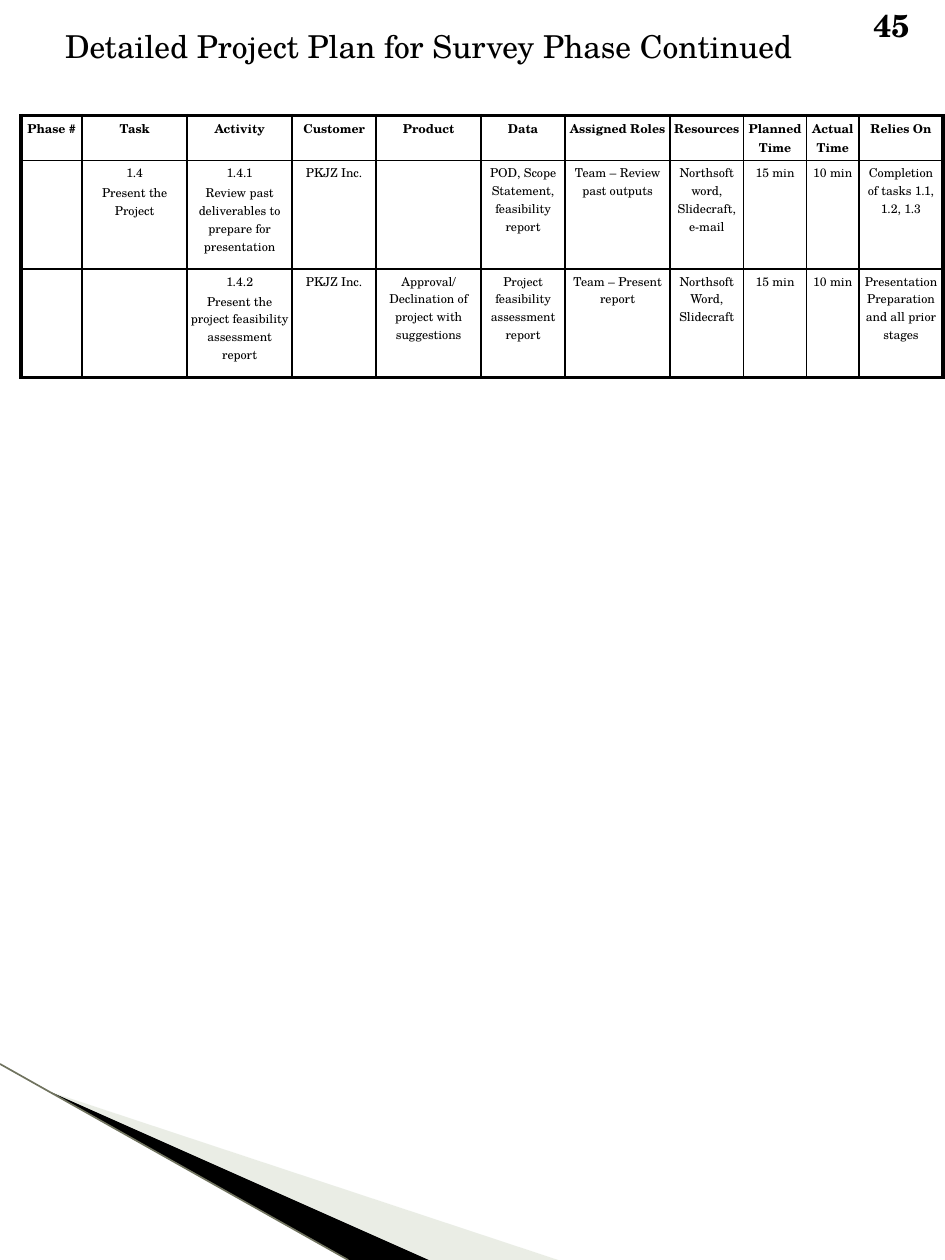
from dataclasses import dataclass
from lxml import etree
from pptx import Presentation
from pptx.dml.color import RGBColor
from pptx.enum import shapes, text
from pptx.oxml import ns
from pptx.util import Pt


@dataclass(frozen=True)
class Theme:
    face: str = "TeX Gyre Schola"
    ink: str = "000000"
    pale: str = "CBD4C0"
    edge: str = "70735F"
    head: float = 18
    body: float = 7
    thin: float = 1
    thick: float = 2.25


THEME = Theme()
COLS = [35, 60, 60, 48, 60, 48, 60, 42, 36, 30, 48]
ROWS = [24, 62, 62]
CELLS = [
    ["Phase #", "Task", "Activity", "Customer", "Product", "Data",
     "Assigned Roles", "Resources", "Planned Time", "Actual Time", "Relies On"],
    ["", "1.4\nPresent the Project",
     "1.4.1\nReview past deliverables to prepare for presentation",
     "PKJZ Inc.", "", "POD, Scope Statement, feasibility report",
     "Team – Review past outputs", "Northsoft word, Slidecraft, e-mail",
     "15 min", "10 min", "Completion of tasks 1.1, 1.2, 1.3"],
    ["", "", "1.4.2\nPresent the project feasibility assessment report",
     "PKJZ Inc.", "Approval/ Declination of project with suggestions",
     "Project feasibility assessment report", "Team – Present report",
     "Northsoft Word, Slidecraft", "15 min", "10 min",
     "Presentation Preparation and all prior stages"],
]


def apply(item, values):
    for name, value in values.items():
        setattr(item, name, value)


def place(shape, box):
    names = ("left", "top", "width", "height")
    apply(shape, {name: Pt(value) for name, value in zip(names, box)})


def write(frame, words, size, bold=False, align=text.PP_ALIGN.LEFT):
    frame.text = words
    for i, para in enumerate(frame.paragraphs):
        para.alignment = align
        para.space_before = Pt(1.2 if i else 0)
        for run in para.runs:
            apply(run.font, {"name": THEME.face, "size": Pt(size), "bold": bold})
            run.font.color.rgb = RGBColor.from_string(THEME.ink)


def label(shape, box, words, bold=False):
    place(shape, box)
    frame = shape.text_frame
    apply(frame, {"word_wrap": True, "auto_size": text.MSO_AUTO_SIZE.NONE,
                  "vertical_anchor": text.MSO_ANCHOR.TOP})
    write(frame, words, THEME.head, bold)


def border(cell, widths):
    props = cell._tc.get_or_add_tcPr()
    for side, width in widths.items():
        line = etree.SubElement(props, ns.qn("a:ln" + side), w=str(Pt(width)))
        fill = etree.SubElement(line, ns.qn("a:solidFill"))
        etree.SubElement(fill, ns.qn("a:srgbClr"), val=THEME.ink)


def plan(slide, box):
    grid = slide.shapes.add_table(len(ROWS), len(COLS), *map(Pt, box)).table
    apply(grid, {"first_row": False, "horz_banding": False})
    for col, width in zip(grid.columns, COLS):
        col.width = Pt(width)
    for row, height in zip(grid.rows, ROWS):
        row.height = Pt(height)
    inset = {"margin_" + side: Pt(2) for side in ("left", "right", "top", "bottom")}
    for r, row in enumerate(CELLS):
        for c, words in enumerate(row):
            cell = grid.cell(r, c)
            apply(cell, inset)
            outer = {"L": c == 0, "R": c == len(COLS) - 1,
                     "T": r == 0, "B": r == len(ROWS) - 1}
            border(cell, {side: THEME.thick if out else THEME.thin
                          for side, out in outer.items()})
            cell.fill.background()
            write(cell.text_frame, words, THEME.body, r == 0, text.PP_ALIGN.CENTER)


def wedge(slide, points, color, alpha=100):
    first, *rest = [(Pt(x), Pt(y)) for x, y in points]
    build = slide.shapes.build_freeform(*first)
    build.add_line_segments(rest, close=True)
    shape = build.convert_to_shape()
    shape.shadow.inherit = False
    shape.fill.solid()
    shape.fill.fore_color.rgb = RGBColor.from_string(color)
    shape.line.fill.background()
    if alpha < 100:
        tint = shape.fill._xPr.find(".//" + ns.qn("a:srgbClr"))
        etree.SubElement(tint, ns.qn("a:alpha"), val=str(alpha * 1000))


def corner(slide, box):
    x, y, w, h = box
    low = y + h
    wedge(slide, [(x + 29, y + 16), (x + w, low), (x + 245, low)], THEME.pale, 40)
    wedge(slide, [(x + 29, y + 16), (x + 245, low), (x + 199, low)], THEME.ink)
    line = slide.shapes.add_connector(
        shapes.MSO_CONNECTOR.STRAIGHT, Pt(x), Pt(y), Pt(x + 199), Pt(low))
    line.line.color.rgb = RGBColor.from_string(THEME.edge)
    line.line.width = Pt(0.95)
    etree.SubElement(line._element.spPr, ns.qn("a:effectLst"))


def main():
    deck = Presentation()
    apply(deck, {"slide_width": Pt(540), "slide_height": Pt(720)})
    slide = deck.slides.add_slide(deck.slide_layouts[5])
    corner(slide, (0, 608, 319, 112))
    label(slide.shapes.title, (30, 12, 450, 29),
          "Detailed Project Plan for Survey Phase Continued")
    plan(slide, (12, 66, sum(COLS), sum(ROWS)))
    page = slide.shapes.add_textbox(0, 0, 0, 0)
    label(page, (492, 0, 42, 29), "45", True)
    deck.save("out.pptx")


if __name__ == "__main__":
    main()
